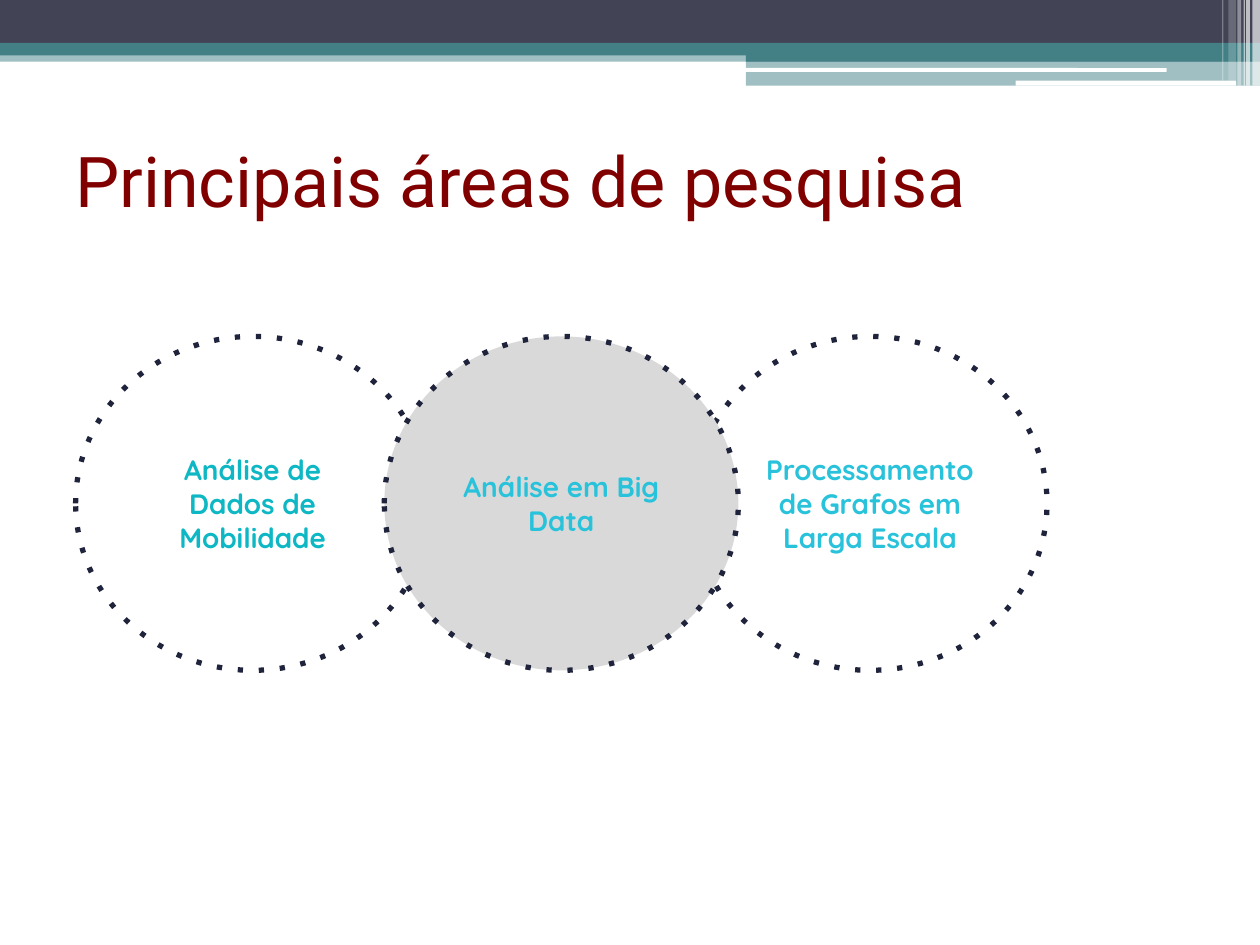
from lxml.etree import SubElement
from pptx import Presentation
from pptx.dml.color import RGBColor
from pptx.enum.shapes import MSO_SHAPE
from pptx.enum.text import MSO_ANCHOR, PP_ALIGN
from pptx.oxml.ns import qn
from pptx.util import Inches, Pt

COLORS = {"navy": "424456", "teal": "438086", "white": "FFFFFF",
          "title": "800000", "gray": "D9D9D9", "ink": "1F243C",
          "green": "0DB7C4", "cyan": "28C3DB"}
COLS, ROWS = 100, 75


def rgb(name):
    return RGBColor.from_string(COLORS[name])


class Deck:
    """Draws on a grid of 100 columns by 75 rows."""

    def __init__(self):
        self.prs = Presentation()
        self.prs.slide_width, self.prs.slide_height = Inches(10), Inches(7.5)
        self.slide = self.prs.slides.add_slide(self.prs.slide_layouts[6])

    def place(self, x, y, w, h):
        col, row = self.prs.slide_width / COLS, self.prs.slide_height / ROWS
        return round(x * col), round(y * row), round(w * col), round(h * row)

    def shape(self, kind, box, fill, alpha=100):
        item = self.slide.shapes.add_shape(kind, *self.place(*box))
        item.shadow.inherit = False
        item.fill.solid()
        item.fill.fore_color.rgb = rgb(fill)
        item.line.fill.background()
        if alpha < 100:
            tone = item.element.spPr.find(qn("a:solidFill"))[0]
            SubElement(tone, qn("a:alpha")).set("val", str(alpha * 1000))
        return item

    def bar(self, box, fill, alpha=100):
        self.shape(MSO_SHAPE.RECTANGLE, box, fill, alpha)

    def strip(self, box):
        self.shape(MSO_SHAPE.ROUNDED_RECTANGLE, box, "white")

    def label(self, item, text, size, font, color, align, bold=False):
        frame = item.text_frame
        frame.word_wrap = True
        frame.vertical_anchor = MSO_ANCHOR.MIDDLE
        frame.text = text
        para = frame.paragraphs[0]
        para.alignment = align
        style = para.runs[0].font
        style.size, style.name, style.bold = Pt(size), font, bold
        style.color.rgb = rgb(color)
        return frame

    def title(self, box, text):
        item = self.slide.shapes.add_textbox(*self.place(*box))
        self.label(item, text, 40, "Roboto", "title", PP_ALIGN.LEFT)

    def ring(self, box, text, fill, color):
        item = self.shape(MSO_SHAPE.OVAL, box, fill)
        item.line.color.rgb = rgb("ink")
        item.line.width = Pt(3)
        edge = item.element.spPr.find(qn("a:ln"))
        SubElement(edge, qn("a:prstDash")).set("val", "dot")
        frame = self.label(item, text, 16, "Quicksand", color,
                           PP_ALIGN.CENTER, True)
        frame.margin_left = frame.margin_right = Inches(0.1)
        frame.margin_top = frame.margin_bottom = Inches(0.1)


def main():
    deck = Deck()

    # Header bands
    deck.bar((0, 4, 100, 0.9), "teal", 50)
    deck.bar((0, 0, 100, 3.4), "navy")
    deck.bar((0, 3.4, 100, 1), "teal")
    deck.bar((59.2, 3.9, 40.8, 1), "teal")
    deck.bar((59.2, 4.8, 40.8, 2), "teal", 50)
    deck.strip((59.1, 5.4, 33.5, 0.3))
    deck.strip((80.6, 6.4, 17.5, 0.4))

    # Pale stripes at the right edge: left, width, height, opacity
    for x, w, h, alpha in [(99.4, 0.6, 6.8, 65), (98.9, 0.3, 6.8, 65),
                           (98.7, 0.1, 6.8, 60), (98.2, 0.3, 6.8, 40),
                           (97.5, 0.6, 6.4, 20), (97, 0.1, 6.4, 30)]:
        deck.bar((x, 0, w, h), "white", alpha)

    # Title
    deck.title((5, 8.4, 90, 11.7), "Principais áreas de pesquisa")

    # Overlapping rings, the middle one on top
    left, step = 6, 24.5
    for spot, text, fill, color in [
            (0, "Análise de Dados de Mobilidade", "white", "green"),
            (2, "Processamento de Grafos em Larga Escala", "white", "cyan"),
            (1, "Análise em Big Data", "gray", "cyan")]:
        deck.ring((left + spot * step, 26.7, 28.1, 26.5), text, fill, color)

    deck.prs.save("out.pptx")


if __name__ == "__main__":
    main()
